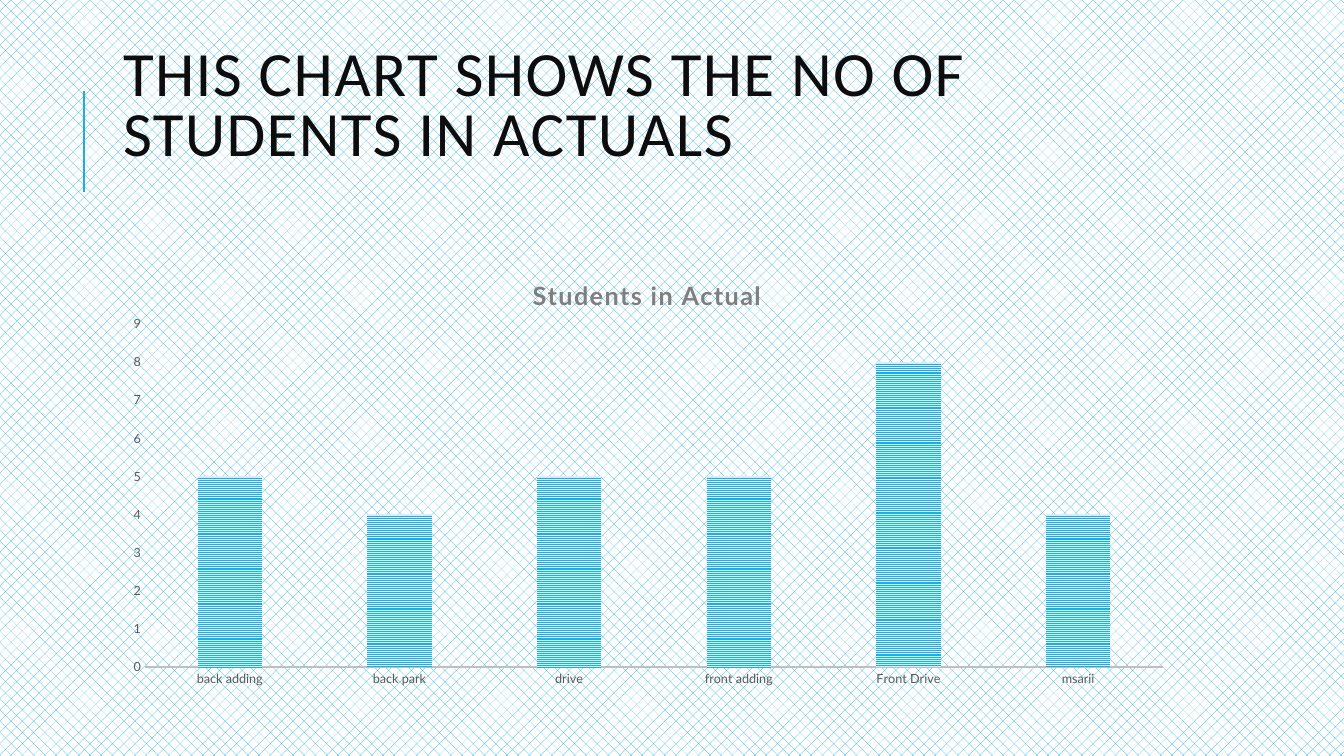
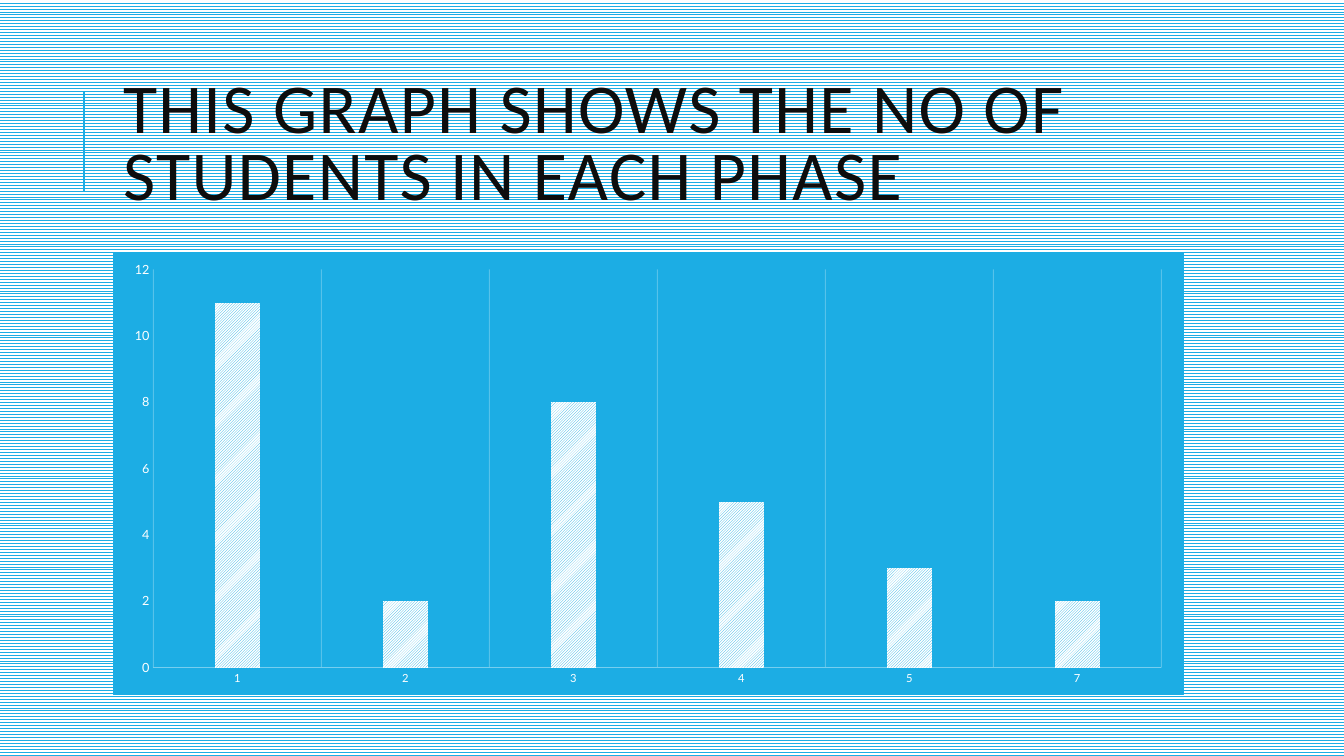
from lxml.etree import SubElement
from pptx import Presentation
from pptx.chart.data import CategoryChartData
from pptx.dml.color import RGBColor
from pptx.enum.chart import XL_CHART_TYPE, XL_TICK_MARK
from pptx.enum.dml import MSO_PATTERN
from pptx.enum.shapes import MSO_CONNECTOR
from pptx.enum.text import MSO_ANCHOR, MSO_AUTO_SIZE
from pptx.oxml import parse_xml
from pptx.oxml.ns import nsdecls, qn
from pptx.util import Emu, Pt

BLUE, WHITE, INK = "1CADE4", "FFFFFF", "0D0D0D"
TITLE_FONT, CHART_FONT = "Calibri", "Lato"
SLIDE_SIZE = (1344, 756)
TITLE_BOX = (113, 64, 1071, 165)
CHART_BOX = (113, 252, 1071, 443)
ACCENT_LINE = (84, 192, 84, 91)

SLIDES = [
    {
        "title": "THIS CHART SHOWS THE NO OF STUDENTS IN ACTUALS",
        "title_size": 45, "title_bottom": 81,
        "background": MSO_PATTERN.PERCENT_25,
        "heading": "Students in Actual", "heading_at": (528, 273),
        "values": {"back adding": 5, "back park": 4, "drive": 5,
                   "front adding": 5, "Front Drive": 8, "msarii": 4},
        "plot_box": (145, 324, 1018, 343),
        "maximum": 9, "step": 1, "gap": 164, "overlap": -22,
        "pattern": MSO_PATTERN.NARROW_HORIZONTAL, "pattern_back": "D2EFFA",
        "text": "595959", "category_size": 9, "axis_line": ("BFBFBF", 1.5),
        "area": None, "grid": False,
    },
    {
        "title": "THIS GRAPH SHOWS THE NO OF STUDENTS IN EACH PHASE",
        "title_size": 50, "title_bottom": 5,
        "background": MSO_PATTERN.ZIG_ZAG,
        "heading": None,
        "values": {"1": 11, "2": 2, "3": 8, "4": 5, "5": 3, "7": 2},
        "plot_box": (153, 269, 1009, 399),
        "maximum": 12, "step": 2, "gap": 269, "overlap": -20,
        "pattern": MSO_PATTERN.LIGHT_UPWARD_DIAGONAL, "pattern_back": WHITE,
        "text": WHITE, "category_size": 8, "axis_line": ("77CEEF", 0.25),
        "area": BLUE, "grid": True,
    },
]


def px(length):
    return Emu(round(length * 914400 / 100.8))


def color(value):
    return RGBColor.from_string(value)


def set_pattern(fill, pattern, back):
    fill.patterned()
    fill.pattern = pattern
    fill.fore_color.rgb = color(BLUE)
    fill.back_color.rgb = color(back)


def set_line(line, value, width):
    line.color.rgb = color(value)
    line.width = Pt(width)


def set_font(font, name, size, value):
    font.name = name
    font.size = Pt(size)
    font.color.rgb = color(value)


def style_layout(layout):
    title = layout.placeholders[0]
    title.left, title.top, title.width, title.height = map(px, TITLE_BOX)
    title.text_frame.vertical_anchor = MSO_ANCHOR.MIDDLE
    title.text_frame.auto_size = MSO_AUTO_SIZE.NONE
    list_style = title.element.txBody.find(qn("a:lstStyle"))
    list_style.append(parse_xml(
        f'<a:lvl1pPr {nsdecls("a")} algn="l"><a:lnSpc><a:spcPct val="80000"/></a:lnSpc>'
        f'<a:defRPr sz="5000" spc="100"><a:solidFill><a:srgbClr val="{INK}"/></a:solidFill>'
        f'<a:latin typeface="{TITLE_FONT}"/></a:defRPr></a:lvl1pPr>'))


def add_accent_line(slide, layout):
    connector = slide.shapes.add_connector(MSO_CONNECTOR.STRAIGHT, *map(px, ACCENT_LINE))
    set_line(connector.line, BLUE, 1.5)
    SubElement(connector.element.spPr, qn("a:effectLst"))
    layout.shapes.element.append(connector.element)


def place_in_chart(parent, index, box, inner=False):
    existing = parent.find(qn("c:layout"))
    if existing is not None:
        parent.remove(existing)
    left, top, width, height = CHART_BOX
    fractions = [("x", (box[0] - left) / width), ("y", (box[1] - top) / height)]
    if inner:
        fractions += [("w", box[2] / width), ("h", box[3] / height)]
    target = '<c:layoutTarget val="inner"/>' if inner else ""
    modes = '<c:xMode val="edge"/><c:yMode val="edge"/>'
    sizes = "".join(f'<c:{name} val="{value:.4f}"/>' for name, value in fractions)
    parent.insert(index, parse_xml(
        f'<c:layout {nsdecls("c")}><c:manualLayout>{target}{modes}{sizes}'
        f'</c:manualLayout></c:layout>'))


def fill_chart_area(chart, value):
    paint = f'<a:solidFill><a:srgbClr val="{value}"/></a:solidFill>' if value else "<a:noFill/>"
    chart.element.find(qn("c:chart")).addnext(parse_xml(
        f'<c:spPr {nsdecls("c", "a")}>{paint}<a:ln w="9525">{paint}</a:ln></c:spPr>'))


def style_axis(axis, size, value):
    axis.major_tick_mark = axis.minor_tick_mark = XL_TICK_MARK.NONE
    axis.has_major_gridlines = False
    set_font(axis.tick_labels.font, CHART_FONT, size, value)


def add_heading(chart, text, position):
    chart.has_title = True
    paragraph = chart.chart_title.text_frame.paragraphs[0]
    run = paragraph.add_run()
    run.text = text
    set_font(run.font, CHART_FONT, 18, "7F7F7F")
    run.font.bold = True
    run.font._element.set("spc", "100")
    place_in_chart(chart.chart_title.element, 1, position)


def add_column_chart(slide, content):
    data = CategoryChartData()
    data.categories = list(content["values"])
    data.add_series("Series 1", list(content["values"].values()))
    chart = slide.shapes.add_chart(
        XL_CHART_TYPE.COLUMN_CLUSTERED, *map(px, CHART_BOX), data).chart
    set_font(chart.font, CHART_FONT, 10, "000000")
    fill_chart_area(chart, content["area"])
    chart.has_legend = False
    chart.has_title = False
    if content["heading"]:
        add_heading(chart, content["heading"], content["heading_at"])

    plot = chart.plots[0]
    plot.vary_by_categories = False
    plot.gap_width = content["gap"]
    plot.overlap = content["overlap"]
    set_pattern(plot.series[0].format.fill, content["pattern"], content["pattern_back"])
    place_in_chart(chart.element.find(".//" + qn("c:plotArea")), 0,
                   content["plot_box"], inner=True)

    category_axis, value_axis = chart.category_axis, chart.value_axis
    style_axis(category_axis, content["category_size"], content["text"])
    style_axis(value_axis, 9, content["text"])
    set_line(category_axis.format.line, *content["axis_line"])
    value_axis.format.line.fill.background()
    value_axis.minimum_scale = 0
    value_axis.maximum_scale = content["maximum"]
    value_axis.major_unit = content["step"]
    if content["grid"]:
        category_axis.has_major_gridlines = True
        gridlines = category_axis.major_gridlines
        set_line(gridlines.format.line, WHITE, 0.75)
        grid_color = category_axis._element.find(
            qn("c:majorGridlines")).find(".//" + qn("a:srgbClr"))
        SubElement(grid_color, qn("a:alpha")).set("val", "25000")


def add_chart_slide(presentation, layout, content):
    slide = presentation.slides.add_slide(layout)
    set_pattern(slide.background.fill, content["background"], WHITE)
    frame = slide.shapes.title.text_frame
    frame.margin_bottom = px(content["title_bottom"])
    frame.text = content["title"]
    frame.paragraphs[0].runs[0].font.size = Pt(content["title_size"])
    add_column_chart(slide, content)
    return slide


def main():
    presentation = Presentation()
    presentation.slide_width, presentation.slide_height = map(px, SLIDE_SIZE)
    layout = presentation.slide_layouts[5]
    style_layout(layout)
    slides = [add_chart_slide(presentation, layout, content) for content in SLIDES]
    add_accent_line(slides[0], layout)
    presentation.save("out.pptx")


if __name__ == "__main__":
    main()
